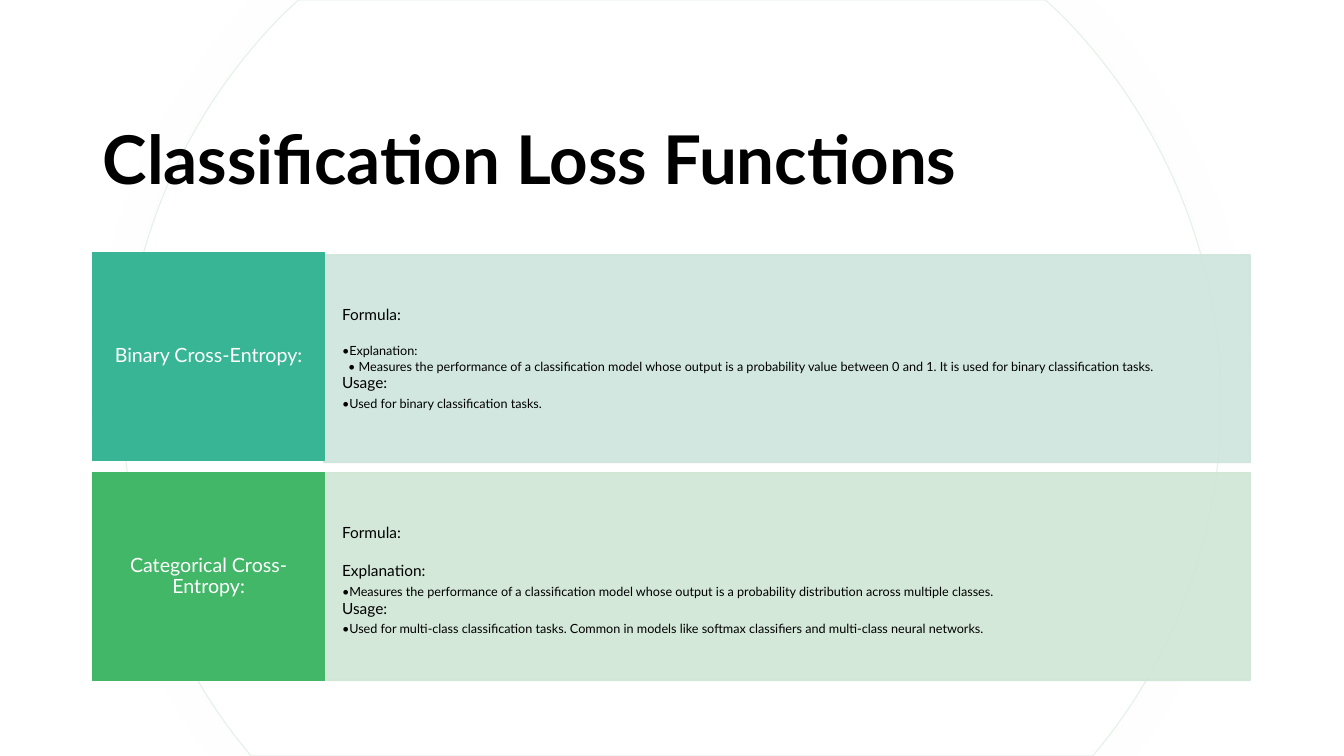
from dataclasses import dataclass

from lxml import etree
from pptx import Presentation, util as u
from pptx.dml.color import RGBColor
from pptx.enum import shapes as sh, text as tx
from pptx.oxml.ns import qn

WIDE, HIGH = u.Inches(13.33), u.Inches(7.5)
FONT = "Lato"
HUES = {
    "white": "FFFFFF", "black": "000000", "ring": "E4F0E8", "shade": "D9D9D9",
    "teal": "37B594", "mint": "CEE5DC", "green": "43B768", "sage": "CFE6D4",
}
# Right half of the ring in percent of the slide: a start, then curves of
# two handles and an end each
START = (77.79, 0)
ARC = [
    (78.92, 1.87), (86.27, 15.07), (90.85, 33.2), (90.85, 53.2),
    (90.85, 70.8), (87.4, 86.93), (81.55, 99.47), (81.32, 100),
]


@dataclass
class Box:
    """Place on the slide, in percent of its width and height."""
    left: float
    top: float
    width: float
    height: float

    def emu(self) -> tuple[int, int, int, int]:
        return (*spot(self.left, self.top), *spot(self.width, self.height))


@dataclass
class Line:
    text: str
    level: int = 0      # 0 is a heading, 1 and 2 are bullets
    after: float = 0    # points; 0 takes the usual gap


@dataclass
class Band:
    name: str
    dark: str
    pale: str
    top: float
    lift: float         # how far the tag sits above its panel
    lines: list[Line]


BANDS = [
    Band("Binary Cross-Entropy:", "teal", "mint", 33.7, 0.27, [
        Line("Formula:", after=14.8),
        Line("Explanation:", 1),
        Line(" Measures the performance of a classification model whose output "
             "is a probability value between 0 and 1. It is used for binary "
             "classification tasks.", 2),
        Line("Usage:"),
        Line("Used for binary classification tasks.", 1),
    ]),
    Band("Categorical Cross-Entropy:", "green", "sage", 62.53, 0, [
        Line("Formula:", after=15.4),
        Line("Explanation:"),
        Line("Measures the performance of a classification model whose output "
             "is a probability distribution across multiple classes.", 1),
        Line("Usage:"),
        Line("Used for multi-class classification tasks. Common in models like "
             "softmax classifiers and multi-class neural networks.", 1),
    ]),
]


def spot(x: float, y: float) -> tuple[int, int]:
    return round(WIDE * x / 100), round(HIGH * y / 100)


def hue(key: str) -> RGBColor:
    return RGBColor.from_string(HUES[key])


def paint(shape, fill: str, edge: str, width: float, alpha: int = 100) -> None:
    shape.shadow.inherit = False
    shape.fill.solid()
    shape.fill.fore_color.rgb = hue(fill)
    shape.line.color.rgb = hue(edge)
    shape.line.width = u.Pt(width)
    if alpha < 100:
        for tone in shape._element.spPr.iter(qn("a:srgbClr")):
            etree.SubElement(tone, qn("a:alpha"), val=str(alpha * 1000))


def frame(shape, anchor, side: float, edge: float):
    """Set wrapping, anchor and the insets in inches."""
    body = shape.text_frame
    body.word_wrap = True
    body.vertical_anchor = anchor
    body.margin_left = body.margin_right = u.Inches(side)
    body.margin_top = body.margin_bottom = u.Inches(edge)
    return body


def write(para, words: str, size: float, tone: str,
          align=tx.PP_ALIGN.LEFT, bold: bool = False) -> None:
    para.alignment = align
    para.line_spacing = 0.9
    run = para.add_run()
    run.text = words
    run.font.name, run.font.size, run.font.bold = FONT, u.Pt(size), bold
    run.font.color.rgb = hue(tone)


def bullet(para, level: int) -> None:
    para.level = level
    props = para._p.get_or_add_pPr()
    props.set("marL", str(u.Inches(0.06 * level)))
    props.set("indent", str(-u.Inches(0.06)))
    etree.SubElement(props, qn("a:buFont"), typeface=FONT)
    etree.SubElement(props, qn("a:buChar"), char="•")


def curve(first, *rest) -> None:
    """Turn three straight steps of an outline into one Bézier curve."""
    bend = etree.Element(qn("a:cubicBezTo"))
    first.addprevious(bend)
    for step in (first, *rest):
        bend.append(step[0])
        step.getparent().remove(step)


def draw_ring(slide) -> None:
    """Large disc, cut off by the top and bottom of the slide."""
    right = [START, *ARC]
    left = [(100 - x, y) for x, y in reversed(right)]
    path = slide.shapes.build_freeform(*spot(*START))
    path.add_line_segments([spot(*p) for p in ARC + left], close=True)
    ring = path.convert_to_shape()
    steps = list(ring._element.spPr.iter(qn("a:lnTo")))
    # Two curves down the right side, two up the left
    for i in (1, 4, 10, 13):
        curve(*steps[i:i + 3])
    paint(ring, "white", "ring", 0.75)
    glow = etree.SubElement(
        ring._element.spPr.find(qn("a:effectLst")), qn("a:outerShdw"),
        blurRad=str(u.Pt(30)), algn="ctr", rotWithShape="0")
    tone = etree.SubElement(glow, qn("a:srgbClr"), val=HUES["shade"])
    etree.SubElement(tone, qn("a:alpha"), val="6000")


def draw_title(slide) -> None:
    box = slide.shapes.add_textbox(*Box(6.9, 10, 86.2, 16.93).emu())
    body = frame(box, tx.MSO_ANCHOR.BOTTOM, 0.1, 0.05)
    write(body.paragraphs[0], "Classification Loss Functions", 48, "black",
          bold=True)


def draw_band(slide, band: Band) -> None:
    rect = sh.MSO_SHAPE.RECTANGLE
    # Pale panel with the details
    panel = slide.shapes.add_shape(
        rect, *Box(24.1, band.top, 68.92, 27.47).emu())
    paint(panel, band.pale, band.pale, 1, 90)
    body = frame(panel, tx.MSO_ANCHOR.TOP, 0.18, 0.52)
    for i, line in enumerate(band.lines):
        para = body.add_paragraph() if i else body.paragraphs[0]
        write(para, line.text, 9 if line.level else 11, "black")
        para.space_after = u.Pt(line.after or (1.35 if line.level else 3.85))
        if line.level:
            bullet(para, line.level)
    # Dark tag with the name
    tag = slide.shapes.add_shape(
        rect, *Box(6.9, band.top - band.lift, 17.25, 27.47).emu())
    paint(tag, band.dark, band.dark, 1)
    body = frame(tag, tx.MSO_ANCHOR.MIDDLE, 0.12, 0.2)
    write(body.paragraphs[0], band.name, 14, "white", tx.PP_ALIGN.CENTER)


def main() -> None:
    deck = Presentation()
    deck.slide_width, deck.slide_height = WIDE, HIGH
    slide = deck.slides.add_slide(deck.slide_layouts[6])
    slide.background.fill.solid()
    slide.background.fill.fore_color.rgb = hue("white")
    draw_ring(slide)
    draw_title(slide)
    for band in BANDS:
        draw_band(slide, band)
    deck.save("out.pptx")


if __name__ == "__main__":
    main()
